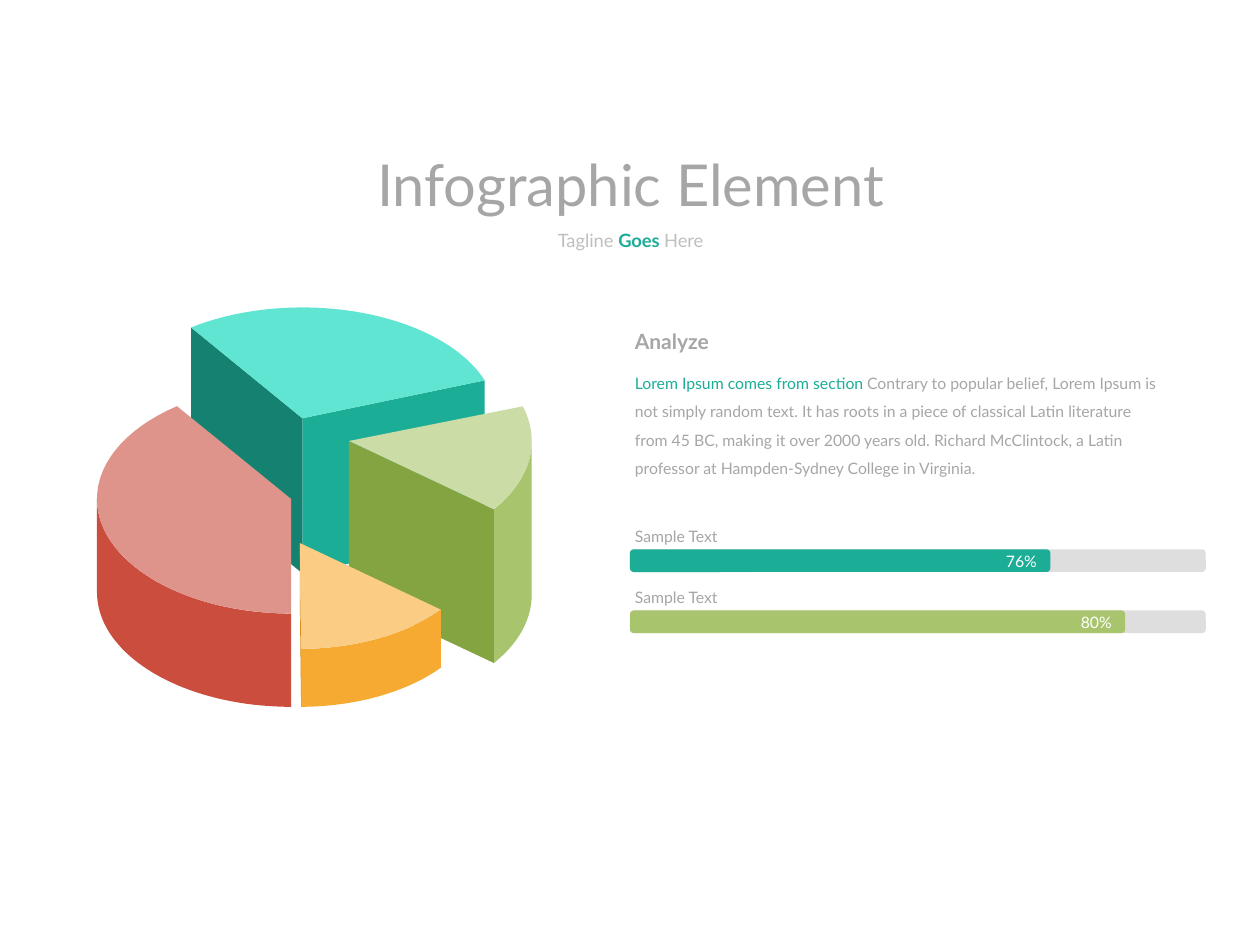
import math
from dataclasses import dataclass

from lxml import etree
from pptx import Presentation
from pptx import util as u
from pptx.dml import color
from pptx.enum import shapes, text
from pptx.oxml import ns

CELL = u.Inches(0.1)  # the slide is a grid of 100 columns by 75 rows


@dataclass(frozen=True)
class Theme:
    font: str = "Lato"
    grey: str = "A6A6A6"
    pale: str = "BFBFBF"
    white: str = "FFFFFF"
    teal: str = "1CAD97"
    teal_dark: str = "158271"
    teal_light: str = "5FE5D1"
    red: str = "CA4D3D"
    red_light: str = "DF948B"
    green: str = "A8C56D"
    green_dark: str = "84A441"
    green_light: str = "CBDCA7"
    orange: str = "F7AA32"
    orange_dark: str = "D68608"
    orange_light: str = "FACC84"
    title: float = 33
    heading: float = 12
    tagline: float = 10.5
    body: float = 9


THEME = Theme()


@dataclass(frozen=True)
class Box:
    """A region of the slide, in grid cells."""
    left: float
    top: float
    width: float
    height: float

    def area(self, left, top, width, height):
        return Box(self.left + left, self.top + top, width, height)

    def emu(self):
        return [round(n * CELL) for n in (self.left, self.top, self.width, self.height)]


@dataclass(frozen=True)
class Slice:
    """A raised pie slice; angles in degrees run clockwise from the right."""
    apex: tuple
    radii: tuple
    start: float
    end: float
    depth: float
    top: str
    rim: tuple = ()        # colour, first angle, last angle
    end_wall: str = ""
    start_wall: str = ""

    def arc(self, first, last, steps=40):
        angles = [math.radians(first + (last - first) * i / steps) for i in range(steps + 1)]
        return [(self.apex[0] + self.radii[0] * math.cos(a),
                 self.apex[1] + self.radii[1] * math.sin(a)) for a in angles]

    def faces(self):
        """Yield the colour and outline of each visible face, back to front."""
        edge = self.arc(self.start, self.end)
        walls = [(self.end_wall, [self.apex, edge[-1]]),
                 (self.start_wall, [self.apex, edge[0]])]
        if self.rim:
            fill, first, last = self.rim
            walls.insert(0, (fill, self.arc(first, last)))
        for fill, line in walls:
            if fill:
                yield fill, line + [(x, y + self.depth) for x, y in reversed(line)]
        yield self.top, [self.apex] + edge


SLICES = [
    Slice((16.3, 8.8), (15.4, 8.8), -125, -20, 12.3, THEME.teal_light,
          end_wall=THEME.teal, start_wall=THEME.teal_dark),
    Slice((15.4, 15.2), (15.4, 9.1), 90, 234, 7.4, THEME.red_light,
          rim=(THEME.red, 90, 180)),
    Slice((20, 10.6), (14.5, 8.9), -18, 37.5, 12.2, THEME.green_light,
          rim=(THEME.green, 0, 37.5), end_wall=THEME.green_dark),
    Slice((16.1, 18.7), (14.4, 8.4), 39, 89.6, 4.6, THEME.orange_light,
          rim=(THEME.orange, 39, 89.6), end_wall=THEME.orange_dark),
]


def paint(shape, fill):
    shape.shadow.inherit = False
    shape.fill.solid()
    shape.fill.fore_color.rgb = color.RGBColor.from_string(fill)
    shape.line.fill.background()


def write(shape, spans, size, align=text.PP_ALIGN.LEFT, wrap=False, spacing=None):
    """Fill a shape with one paragraph of (words, colour, bold) spans."""
    frame = shape.text_frame
    frame.word_wrap = wrap
    para = frame.paragraphs[0]
    para.alignment = align
    if spacing:
        para.line_spacing = spacing
    for words, fill, bold in spans:
        span = para.add_run()
        span.text = words
        span.font.name = THEME.font
        span.font.size = u.Pt(size)
        span.font.bold = bold
        span.font.color.rgb = color.RGBColor.from_string(fill)


def add_text(page, box, spans, size, **style):
    write(page.shapes.add_textbox(*box.emu()), spans, size, **style)


def add_header(page, box):
    centre = text.PP_ALIGN.CENTER
    add_text(page, box.area(0, 0, box.width, 6.6),
             [("Infographic Element", THEME.grey, False)], THEME.title, align=centre)
    add_text(page, box.area(0, 6.4, box.width, 2.8),
             [("Tagline ", THEME.pale, False), ("Goes ", THEME.teal, True),
              ("Here", THEME.pale, False)], THEME.tagline, align=centre)


def add_pie(page, box):
    group = page.shapes.add_group_shape()
    for piece in SLICES:
        for fill, outline in piece.faces():
            points = [((box.left + x) * CELL, (box.top + y) * CELL) for x, y in outline]
            builder = group.shapes.build_freeform(*points[0])
            builder.add_line_segments(points[1:])
            paint(builder.convert_to_shape(), fill)


def add_article(page, box):
    add_text(page, box.area(0, 2.8, box.width, 10.1),
             [("Lorem Ipsum comes from section ", THEME.teal, False),
              ("Contrary to popular belief, Lorem Ipsum is not simply random text. "
               "It has roots in a piece of classical Latin literature from 45 BC, "
               "making it over 2000 years old. Richard McClintock, a Latin professor "
               "at Hampden-Sydney College in Virginia.", THEME.grey, False)],
             THEME.body, wrap=True, spacing=1.5)
    add_text(page, box.area(0, 0, 8, 3), [("Analyze", THEME.grey, True)], THEME.heading)


def add_bar(page, box, fill):
    bar = page.shapes.add_shape(shapes.MSO_SHAPE.ROUNDED_RECTANGLE, *box.emu())
    paint(bar, fill)
    return bar


def add_progress(page, box, label, value, share, fill):
    """Place a label over a half-transparent track filled up to a share."""
    track = add_bar(page, box.area(0, 2.3, box.width, 1.8), THEME.pale)
    tint = track.element.spPr.find(".//" + ns.qn("a:srgbClr"))
    etree.SubElement(tint, ns.qn("a:alpha"), val="50000")

    bar = add_bar(page, box.area(0, 2.3, box.width * share, 1.8), fill)
    frame = bar.text_frame
    frame.margin_left = frame.margin_right = u.Inches(0.1)
    frame.margin_top = frame.margin_bottom = u.Inches(0.1)
    frame.vertical_anchor = text.MSO_ANCHOR.MIDDLE
    write(bar, [(value, THEME.white, False)], THEME.body, align=text.PP_ALIGN.RIGHT)
    add_text(page, box.area(-0.6, 0, 8.9, 2.5), [(label, THEME.grey, False)], THEME.body)


def main():
    deck = Presentation()
    deck.slide_width, deck.slide_height = 100 * CELL, 75 * CELL
    page = deck.slides.add_slide(deck.slide_layouts[6])

    add_header(page, Box(28.4, 11.3, 43.3, 9.2))
    add_pie(page, Box(7.7, 24.4, 34.5, 31.7))
    add_article(page, Box(49.4, 25.6, 44.1, 12.9))
    progress = Box(50, 41.3, 45.7, 4.1)
    bars = [("76%", 0.73, THEME.teal), ("80%", 0.86, THEME.green)]
    for row, (value, share, fill) in enumerate(bars):
        add_progress(page, progress.area(0, row * 4.85, progress.width, progress.height),
                     "Sample Text", value, share, fill)

    deck.save("out.pptx")


if __name__ == "__main__":
    main()
